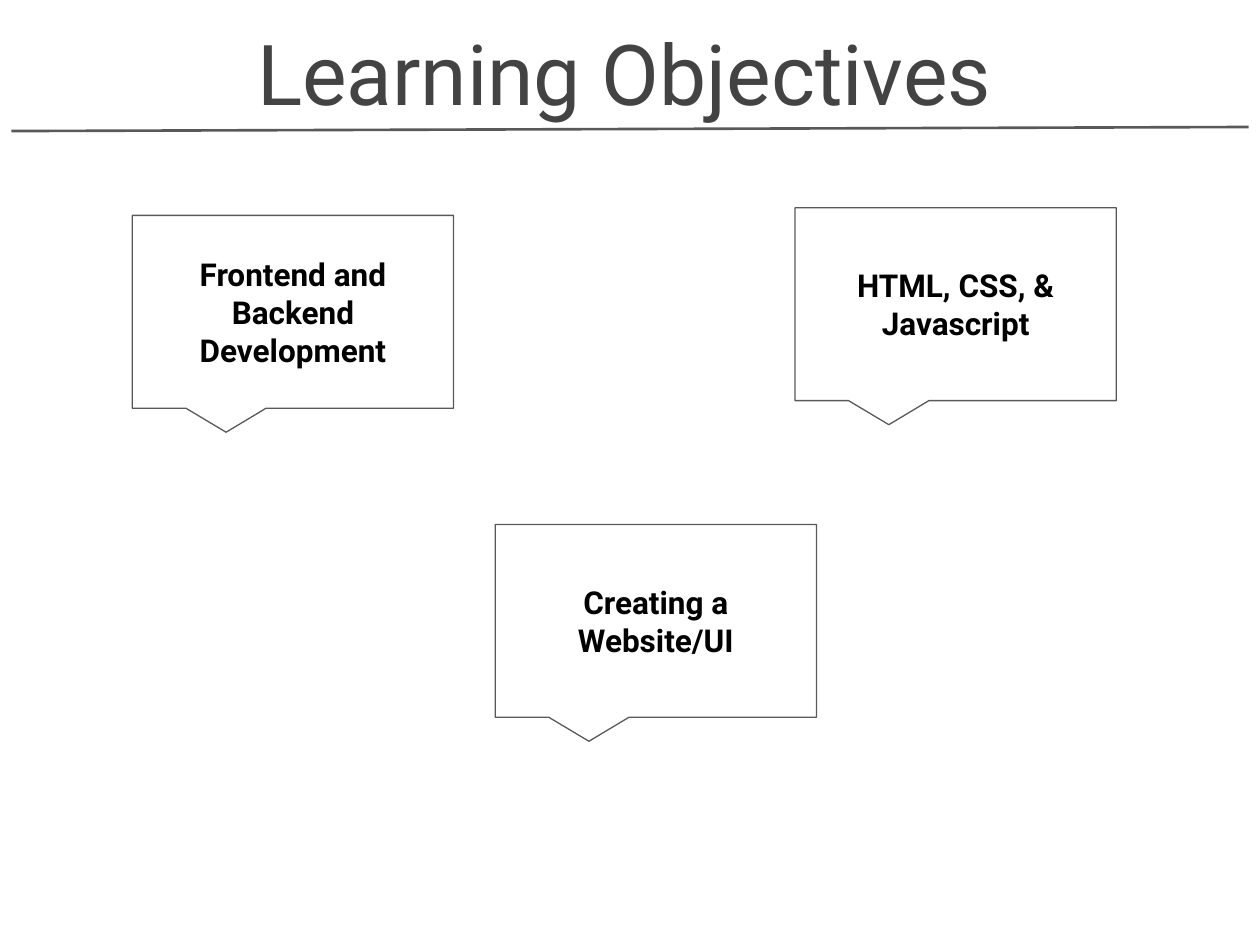
from dataclasses import dataclass

import pptx
import pptx.dml.color
import pptx.enum.shapes
import pptx.enum.text
import pptx.oxml.ns
import pptx.util
from lxml import etree


@dataclass(frozen=True)
class Theme:
    font: str = "Roboto"
    paper: str = "FFFFFF"
    heading: str = "434343"
    body: str = "000000"
    stroke: str = "595959"
    heading_size: float = 48
    body_size: float = 18
    rule_width: float = 1.5
    outline_width: float = 0.75
    inset: float = 0.1


@dataclass(frozen=True)
class Box:
    left: float
    top: float
    width: float
    height: float

    def portion(self, left, top, width, height):
        """Return the box that covers the given shares of this one."""
        return Box(self.left + left * self.width, self.top + top * self.height,
                   width * self.width, height * self.height)

    def lengths(self):
        return [pptx.util.Inches(value) for value in
                (self.left, self.top, self.width, self.height)]


THEME = Theme()
SLIDE = Box(0, 0, 10, 7.5)
CALLOUT_SIZE = (0.255, 0.204)
# Left and top of each callout, as shares of the slide
OBJECTIVES = [
    ("Frontend and Backend Development", 0.105, 0.228),
    ("HTML, CSS, & Javascript", 0.631, 0.22),
    ("Creating a Website/UI", 0.393, 0.555),
]


def color(value):
    return pptx.dml.color.RGBColor.from_string(value)


def write_text(shape, text, *, size, ink, bold=False, anchor="MIDDLE"):
    frame = shape.text_frame
    frame.word_wrap = True
    frame.vertical_anchor = pptx.enum.text.MSO_ANCHOR[anchor]
    inset = pptx.util.Inches(THEME.inset)
    frame.margin_left = frame.margin_right = inset
    frame.margin_top = frame.margin_bottom = inset
    para = frame.paragraphs[0]
    para.alignment = pptx.enum.text.PP_ALIGN.CENTER
    span = para.add_run()
    span.text = text
    span.font.name = THEME.font
    span.font.size = pptx.util.Pt(size)
    span.font.bold = bold
    span.font.color.rgb = color(ink)


def style_line(shape, width):
    shape.line.color.rgb = color(THEME.stroke)
    shape.line.width = pptx.util.Pt(width)


def add_header(page, box, text):
    # Rule, rising slightly to the right
    left, top, width, height = box.portion(0.009, 0.94, 0.982, 0.03).lengths()
    rule = page.shapes.add_connector(
        pptx.enum.shapes.MSO_CONNECTOR.STRAIGHT,
        left, top + height, left + width, top)
    style_line(rule, THEME.rule_width)
    etree.SubElement(rule._element.spPr, pptx.oxml.ns.qn("a:effectLst"))

    # Title
    title = page.shapes.add_textbox(
        *box.portion(0.13, 0.18, 0.731, 0.82).lengths())
    write_text(title, text, size=THEME.heading_size, ink=THEME.heading,
               anchor="BOTTOM")


def add_callout(page, box, text):
    callout = page.shapes.add_shape(
        pptx.enum.shapes.MSO_SHAPE.ROUNDED_RECTANGULAR_CALLOUT, *box.lengths())
    # Tail position, then square corners
    for index, value in enumerate((-0.208, 0.625, 0)):
        callout.adjustments[index] = value
    callout.shadow.inherit = False
    callout.fill.background()
    style_line(callout, THEME.outline_width)
    write_text(callout, text, size=THEME.body_size, ink=THEME.body, bold=True)


def add_objectives(page, box):
    for text, left, top in OBJECTIVES:
        add_callout(page, box.portion(left, top, *CALLOUT_SIZE), text)


def main():
    deck = pptx.Presentation()
    deck.slide_width = pptx.util.Inches(SLIDE.width)
    deck.slide_height = pptx.util.Inches(SLIDE.height)
    page = deck.slides.add_slide(deck.slide_layouts[6])
    page.background.fill.solid()
    page.background.fill.fore_color.rgb = color(THEME.paper)

    add_header(page, SLIDE.portion(0, 0, 1, 0.143), "Learning Objectives")
    add_objectives(page, SLIDE)
    deck.save("out.pptx")


if __name__ == "__main__":
    main()
